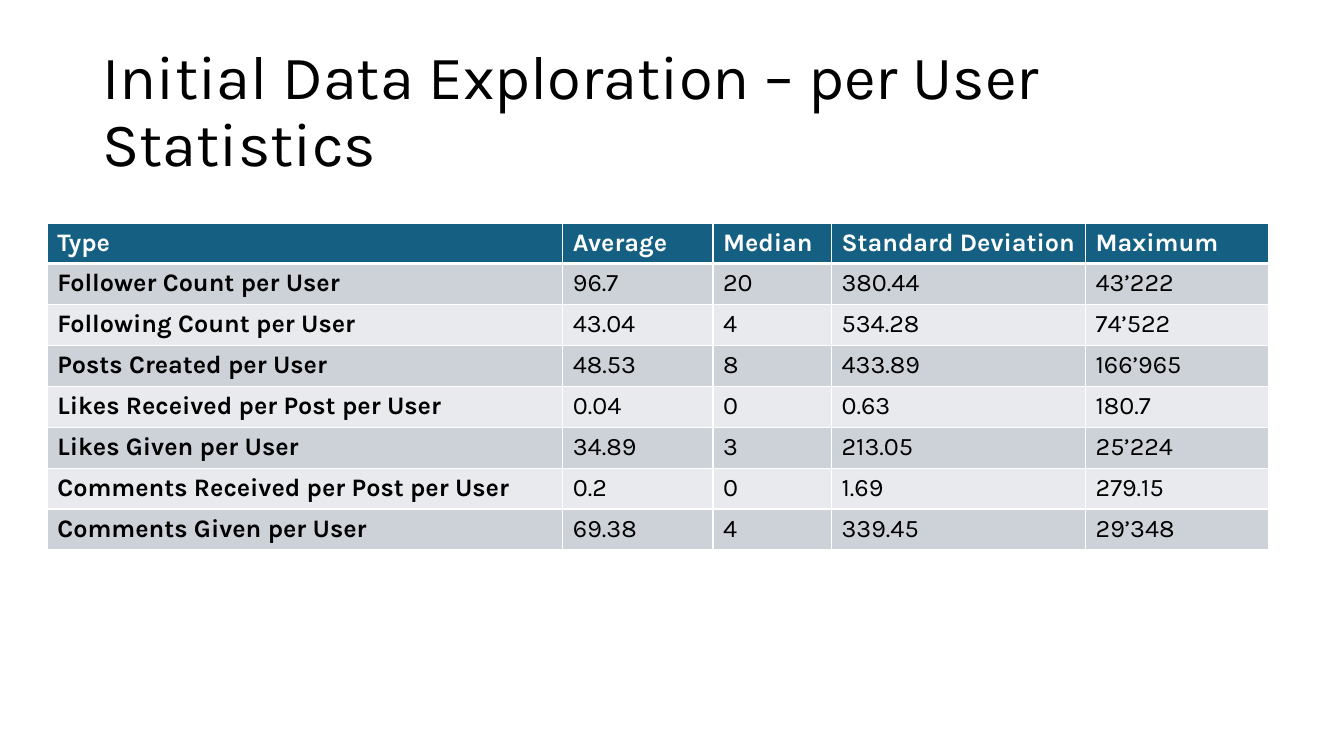
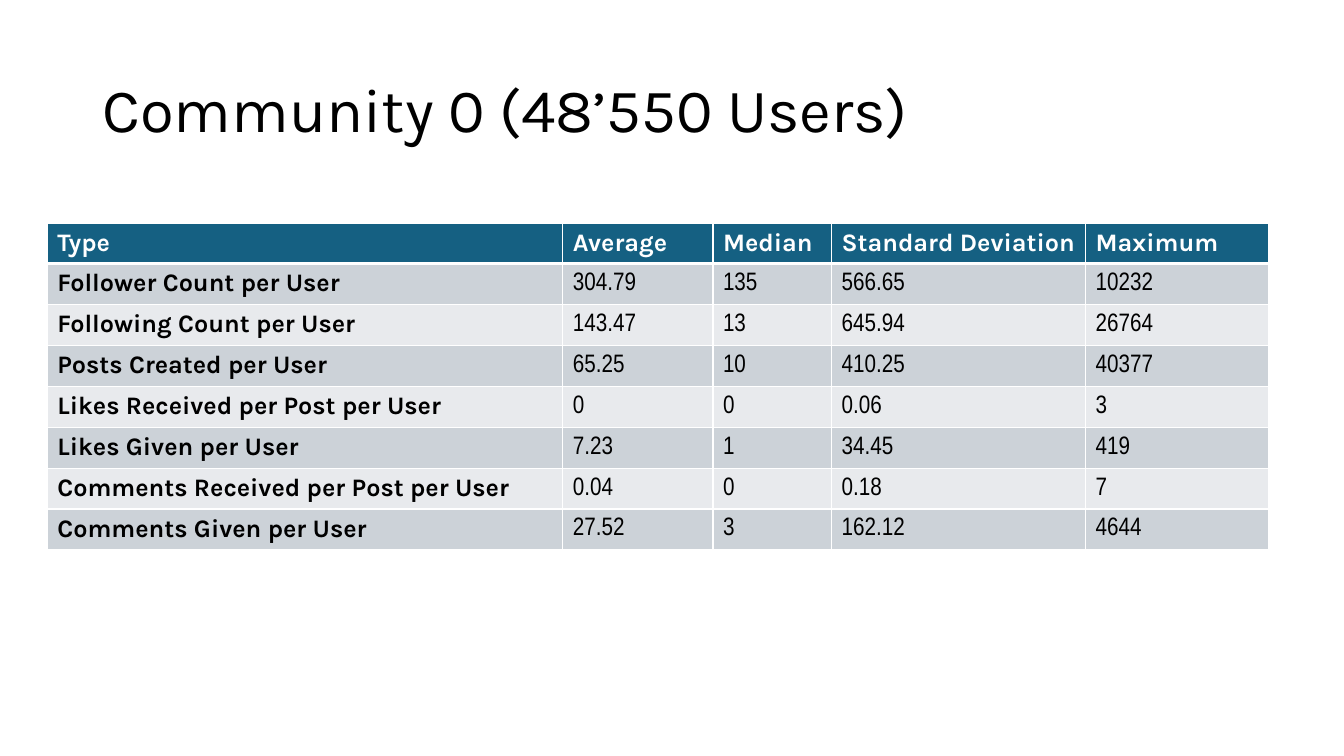
from dataclasses import dataclass

from lxml.etree import SubElement
from pptx import Presentation
from pptx.dml.color import RGBColor
from pptx.enum.text import MSO_ANCHOR, MSO_AUTO_SIZE, PP_ALIGN
from pptx.oxml.ns import qn
from pptx.util import Pt

EMU_PER_PX = 9525
TITLE_ONLY = 5


@dataclass(frozen=True)
class Theme:
    black: str = "000000"
    white: str = "FFFFFF"
    header: str = "156082"
    bands: tuple = ("CCD2D8", "E8EAED")
    font: str = "Karla"
    narrow_font: str = "Arial Narrow"
    title_size: int = 44
    table_size: int = 18
    border: int = 1
    header_border: int = 3


THEME = Theme()

TITLE_BOX = {"left": 88, "top": 38, "width": 1104, "height": 139}
TABLE_LEFT, TABLE_TOP = 45, 213
COLUMN_WIDTHS = (491, 143, 113, 242, 174)
HEADER_HEIGHT, ROW_HEIGHT = 38, 39

HEADINGS = ("Type", "Average", "Median", "Standard Deviation", "Maximum")
MEASURES = (
    "Follower Count per User",
    "Following Count per User",
    "Posts Created per User",
    "Likes Received per Post per User",
    "Likes Given per User",
    "Comments Received per Post per User",
    "Comments Given per User",
)
ALL_USERS = (
    ("96.7", "20", "380.44", "43’222"),
    ("43.04", "4", "534.28", "74’522"),
    ("48.53", "8", "433.89", "166’965"),
    ("0.04", "0", "0.63", "180.7"),
    ("34.89", "3", "213.05", "25’224"),
    ("0.2", "0", "1.69", "279.15"),
    ("69.38", "4", "339.45", "29’348"),
)
COMMUNITY_0 = (
    ("304.79", "135", "566.65", "10232"),
    ("143.47", "13", "645.94", "26764"),
    ("65.25", "10", "410.25", "40377"),
    ("0", "0", "0.06", "3"),
    ("7.23", "1", "34.45", "419"),
    ("0.04", "0", "0.18", "7"),
    ("27.52", "3", "162.12", "4644"),
)


def px(length):
    return length * EMU_PER_PX


def set_attributes(target, values):
    for name, value in values.items():
        setattr(target, name, value)


def write_text(text_frame, text, size, color, font=THEME.font, bold=False):
    paragraph = text_frame.paragraphs[0]
    run = paragraph.add_run()
    run.text = text
    set_attributes(run.font, {"name": font, "size": Pt(size), "bold": bold})
    run.font.color.rgb = RGBColor.from_string(color)
    return paragraph


def add_title(slide, text):
    title = slide.shapes.title
    set_attributes(title, {side: px(length) for side, length in TITLE_BOX.items()})
    set_attributes(title.text_frame, {
        "word_wrap": True,
        "auto_size": MSO_AUTO_SIZE.NONE,
        "vertical_anchor": MSO_ANCHOR.MIDDLE,
    })
    paragraph = write_text(title.text_frame, text, THEME.title_size, THEME.black)
    set_attributes(paragraph, {"alignment": PP_ALIGN.LEFT, "line_spacing": 0.9})


def set_borders(cell, widths):
    """Draw white cell edges; widths maps an edge letter (L, R, T, B) to points."""
    properties = cell._tc.get_or_add_tcPr()
    for position, (edge, width) in enumerate(widths.items()):
        line = SubElement(properties, qn(f"a:ln{edge}"), w=str(Pt(width)))
        fill = SubElement(line, qn("a:solidFill"))
        SubElement(fill, qn("a:srgbClr"), val=THEME.white)
        properties.insert(position, line)


def format_cell(cell, row, column, text, value_font, value_anchor):
    is_header = row == 0
    is_value = row > 0 and column > 0
    fill = THEME.header if is_header else THEME.bands[(row - 1) % 2]
    cell.fill.solid()
    cell.fill.fore_color.rgb = RGBColor.from_string(fill)
    cell.vertical_anchor = value_anchor if is_value else MSO_ANCHOR.TOP
    write_text(
        cell.text_frame, text, THEME.table_size,
        THEME.white if is_header else THEME.black,
        font=value_font if is_value else THEME.font,
        bold=not is_value,
    )
    set_borders(cell, {
        "L": THEME.border,
        "R": THEME.border,
        "T": THEME.header_border if row == 1 else THEME.border,
        "B": THEME.header_border if is_header else THEME.border,
    })


def add_statistics_table(slide, values, value_font, value_anchor):
    rows = [HEADINGS] + [(name, *line) for name, line in zip(MEASURES, values)]
    heights = [HEADER_HEIGHT] + [ROW_HEIGHT] * len(values)
    table = slide.shapes.add_table(
        len(rows), len(HEADINGS), px(TABLE_LEFT), px(TABLE_TOP),
        px(sum(COLUMN_WIDTHS)), px(sum(heights)),
    ).table
    for column, width in zip(table.columns, COLUMN_WIDTHS):
        column.width = px(width)
    for row, height in zip(table.rows, heights):
        row.height = px(height)
    for r, texts in enumerate(rows):
        for c, text in enumerate(texts):
            format_cell(table.cell(r, c), r, c, text, value_font, value_anchor)


def add_statistics_slide(presentation, title, values,
                         value_font=THEME.font, value_anchor=MSO_ANCHOR.TOP):
    slide = presentation.slides.add_slide(presentation.slide_layouts[TITLE_ONLY])
    add_title(slide, title)
    add_statistics_table(slide, values, value_font, value_anchor)


def main():
    presentation = Presentation()
    set_attributes(presentation, {"slide_width": px(1280), "slide_height": px(720)})
    add_statistics_slide(
        presentation, "Initial Data Exploration – per User Statistics", ALL_USERS)
    add_statistics_slide(
        presentation, "Community 0 (48’550 Users)", COMMUNITY_0,
        value_font=THEME.narrow_font, value_anchor=MSO_ANCHOR.MIDDLE)
    presentation.save("out.pptx")


if __name__ == "__main__":
    main()
